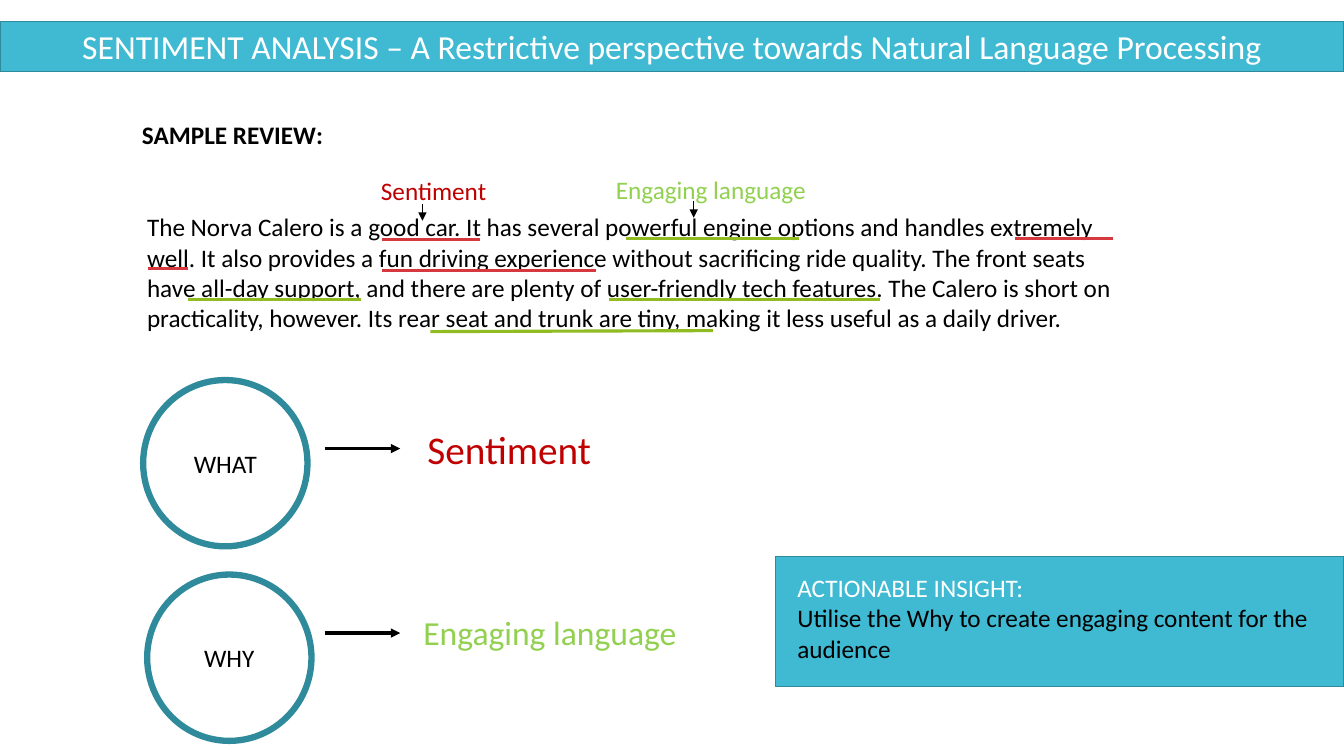
from lxml import etree
from pptx import Presentation
from pptx.dml.color import RGBColor
from pptx.enum.shapes import MSO_CONNECTOR as CONN, MSO_SHAPE as SHAPE
from pptx.enum.text import MSO_ANCHOR as ANCHOR, PP_ALIGN as ALIGN
from pptx.oxml.ns import qn
from pptx.util import Inches, Pt

BLACK, WHITE = "000000", "FFFFFF"
CYAN, TEAL = "40BAD2", "2F8A9B"
RED, GREEN = "C00000", "92D050"
RED_MARK, GREEN_MARK = "D5393D", "90BB23"

REVIEW = (
    "The Norva Calero is a good car. It has several powerful engine options and "
    "handles extremely well. It also provides a fun driving experience without "
    "sacrificing ride quality. The front seats have all-day support, and there are "
    "plenty of user-friendly tech features. The Calero is short on practicality, "
    "however. Its rear seat and trunk are tiny, making it less useful as a daily driver."
)


def rgb(color):
    return RGBColor.from_string(color)


def write(sp, *lines, size=18, color=BLACK, bold=False, align=ALIGN.LEFT,
          anchor=ANCHOR.TOP):
    """Fill a shape with paragraphs; a line may be a (text, color) pair."""
    tf = sp.text_frame
    tf.word_wrap = True
    tf.vertical_anchor = anchor
    for i, line in enumerate(lines):
        text, line_color = line if isinstance(line, tuple) else (line, color)
        p = tf.add_paragraph() if i else tf.paragraphs[0]
        p.alignment = align
        r = p.add_run()
        r.text = text
        r.font.name = "Calibri"
        r.font.size = Pt(size)
        r.font.bold = bold
        r.font.color.rgb = rgb(line_color)


def add_text(slide, x, y, w, h, *lines, **fmt):
    sp = slide.shapes.add_textbox(Inches(x), Inches(y), Inches(w), Inches(h))
    write(sp, *lines, **fmt)


def add_shape(slide, kind, x, y, w, h, fill=None, line_width=0.85):
    sp = slide.shapes.add_shape(kind, Inches(x), Inches(y), Inches(w), Inches(h))
    sp.shadow.inherit = False
    if fill:
        sp.fill.solid()
        sp.fill.fore_color.rgb = rgb(fill)
    else:
        sp.fill.background()
    sp.line.color.rgb = rgb(TEAL)
    sp.line.width = Pt(line_width)
    return sp


def add_line(slide, x1, y1, x2, y2, color=BLACK, width=2.25, arrow=False):
    s = slide.shapes.add_connector(
        CONN.STRAIGHT, Inches(x1), Inches(y1), Inches(x2), Inches(y2))
    s.line.color.rgb = rgb(color)
    s.line.width = Pt(width)
    if arrow:
        etree.SubElement(s.line._get_or_add_ln(), qn("a:tailEnd"), type="triangle")
    etree.SubElement(s._element.spPr, qn("a:effectLst"))


def add_banner(slide, x, y, w, h):
    sp = add_shape(slide, SHAPE.RECTANGLE, x, y, w, h, fill=CYAN)
    write(sp, "SENTIMENT ANALYSIS – A Restrictive perspective towards "
          "Natural Language Processing", size=24, color=WHITE, align=ALIGN.CENTER)


def add_review(slide, x, y, w, h):
    """Review text with underlined phrases and two labels above it."""
    add_text(slide, x - 0.05, y - 0.92, 2.22, 0.4, "SAMPLE REVIEW:", bold=True)
    add_text(slide, x, y, w, h, REVIEW)
    marks = [  # start, end, start height, end height, color
        (2.43, 3.4, 0.33, 0.33, RED_MARK),
        (8.71, 9.68, 0.32, 0.32, RED_MARK),
        (0.11, 0.5, 0.61, 0.61, RED_MARK),
        (2.43, 4.55, 0.63, 0.63, RED_MARK),
        (4.85, 6.56, 0.32, 0.32, GREEN_MARK),
        (0.5, 2.22, 0.92, 0.92, GREEN_MARK),
        (4.68, 7.37, 0.92, 0.92, GREEN_MARK),
        (2.91, 5.71, 1.24, 1.23, GREEN_MARK),
    ]
    for start, end, y1, y2, color in marks:
        add_line(slide, x + start, y + y1, x + end, y + y2, color)
    labels = [  # text, color, left, top, width, arrow x, arrow top
        ("Sentiment", RED, 2.32, -0.36, 1.42, 2.83, -0.03),
        ("Engaging language", GREEN, 4.65, -0.37, 2.75, 5.52, -0.06),
    ]
    for text, color, left, top, width, arrow_x, arrow_y in labels:
        add_text(slide, x + left, y + top, width, 0.4, text, color=color)
        add_line(slide, x + arrow_x, y + arrow_y, x + arrow_x, y + arrow_y + 0.17,
                 width=0.75, arrow=True)


def add_question(slide, x, y, w, h, question, arrow, answer_box, answer, **fmt):
    """Ringed question with an arrow to its answer; offsets are from the ring."""
    ring = add_shape(slide, SHAPE.OVAL, x, y, w, h, line_width=4.5)
    write(ring, question, align=ALIGN.CENTER, anchor=ANCHOR.MIDDLE)
    arrow_x, arrow_y = x + arrow[0], y + arrow[1]
    add_line(slide, arrow_x, arrow_y, arrow_x + 0.75, arrow_y, arrow=True)
    left, top, width, height = answer_box
    add_text(slide, x + left, y + top, width, height, answer, **fmt)


def add_insight(slide, x, y, w, h):
    add_shape(slide, SHAPE.RECTANGLE, x, y, w, h, fill=CYAN)
    add_text(slide, x + 0.12, y + 0.11, w - 0.23, h - 0.28,
             ("ACTIONABLE INSIGHT:", WHITE),
             "Utilise the Why to create engaging content for the audience")


def main():
    prs = Presentation()
    prs.slide_width, prs.slide_height = Inches(13.33), Inches(7.5)
    slide = prs.slides.add_slide(prs.slide_layouts[6])
    add_banner(slide, 0, 0.21, 13.33, 0.5)
    add_review(slide, 1.36, 2.05, 9.88, 1.31)
    add_question(slide, 1.42, 3.77, 1.63, 1.65, "WHAT", (1.8, 0.68),
                 (2.72, 0.4, 2, 0.57), "Sentiment", size=28, color=RED)
    add_question(slide, 1.46, 5.7, 1.63, 1.65, "WHY", (1.76, 0.58),
                 (2.64, 0.32, 3.46, 0.5), "Engaging language", size=24, color=GREEN)
    add_insight(slide, 7.69, 5.52, 5.64, 1.29)
    prs.save("out.pptx")


if __name__ == "__main__":
    main()
